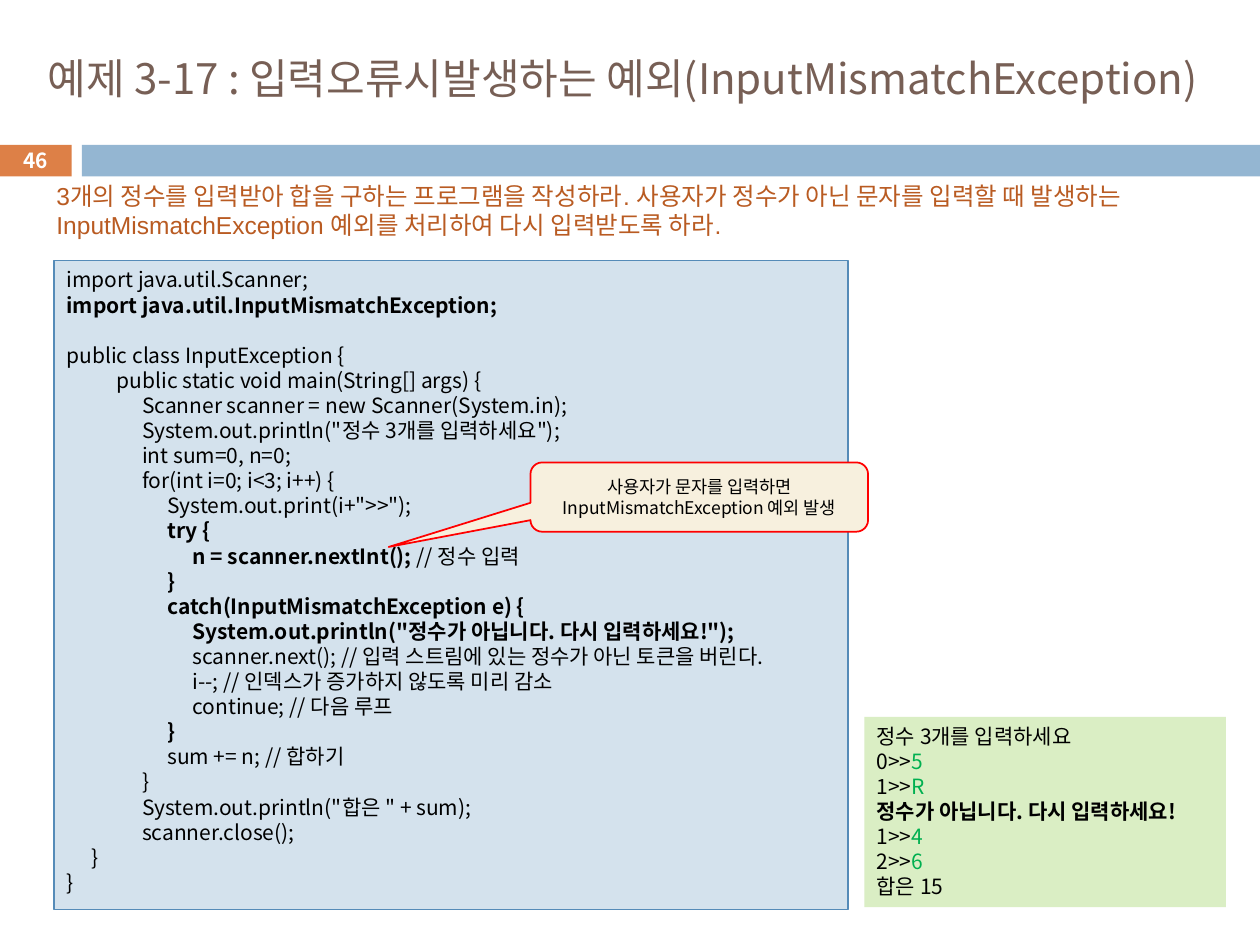
import pptx
import pptx.util
import pptx.dml.color
import pptx.enum.shapes
import pptx.enum.text
from lxml import etree

Pt, Inches = pptx.util.Pt, pptx.util.Inches
Kind = pptx.enum.shapes.MSO_SHAPE
Mid = pptx.enum.text.MSO_ANCHOR.MIDDLE
Top = pptx.enum.text.MSO_ANCHOR.TOP
Left = pptx.enum.text.PP_ALIGN.LEFT
Center = pptx.enum.text.PP_ALIGN.CENTER

# Content: a line is (tab depth, (text, style), ...); styles: "" plain, "b" bold, "g" typed input
title = [(0, ("예제 3-17 : 입력오류시발생하는 예외(InputMismatchException)", ""))]
task = [(0, ("3개의 정수를 입력받아 합을 구하는 프로그램을 작성하라. 사용자가 정수가 아닌 문자를 "
             "입력할 때 발생하는 InputMismatchException 예외를 처리하여 다시 입력받도록 하라.", ""))]
page = [(0, ("46", "b"))]
head = [
    (0, ("import java.util.Scanner;", "")),
    (0, ("import java.util.InputMismatchException;", "b")),
]
body = [
    (0, ("public class InputException {", "")),
    (2, ("public static void main(String[] args) {", "")),
    (3, ("Scanner scanner = new Scanner(System.in);", "")),
    (3, ('System.out.println("정수 3개를 입력하세요");', "")),
    (3, ("int sum=0, n=0;", "")),
    (3, ("for(int i=0; i<3; i++) {", "")),
    (4, ('System.out.print(i+">>");', "")),
    (4, ("try {", "b")),
    (5, ("n = scanner.nextInt(); ", "b"), ("// 정수 입력", "")),
    (4, ("}", "b")),
    (4, ("catch(InputMismatchException e) {", "b")),
    (5, ('System.out.println("정수가 아닙니다. 다시 입력하세요!");', "b")),
    (5, ("scanner.next(); // 입력 스트림에 있는 정수가 아닌 토큰을 버린다.", "")),
    (5, ("i--; // 인덱스가 증가하지 않도록 미리 감소", "")),
    (5, ("continue; // 다음 루프", "")),
    (4, ("}", "b")),
    (4, ("sum += n; // 합하기", "")),
    (3, ("}", "")),
    (3, ('System.out.println("합은 " + sum);', "")),
    (3, ("scanner.close();", "")),
    (1, ("}", "")),
    (0, ("}", "")),
]
result = [
    (0, ("정수 3개를 입력하세요", "")),
    (0, ("0>>", ""), ("5", "g")),
    (0, ("1>>", ""), ("R", "g")),
    (0, ("정수가 아닙니다. 다시 입력하세요!", "b")),
    (0, ("1>>", ""), ("4", "g")),
    (0, ("2>>", ""), ("6", "g")),
    (0, ("합은 15", "")),
]
note = [(0, ("사용자가 문자를 입력하면", "")),
        (0, ("InputMismatchException 예외 발생", ""))]

theme = {
    "korean": "Noto Sans CJK KR", "latin": "Arial",
    "title": ("775F55", 24), "task": ("B95B22", 14), "page": ("FFFFFF", 11.9),
    "code": ("000000", 12), "note": ("000000", 10), "typed": "00B050",
    "tag": "DD8047", "bar": "94B6D2", "panel": "D4E2ED", "edge": "558BB8",
    "out": "DAEEC4", "call": "F7F0DE", "alert": "FF0000",
    "pitch": 1.195, "tab": 0.2,
}

# Grid: 100 columns by 75 rows
wide, high = Inches(10), Inches(7.5)
deck = pptx.Presentation()
deck.slide_width, deck.slide_height = wide, high
slide = deck.slides.add_slide(deck.slide_layouts[6])


def cells(col, row, cols, rows):
    """Turn grid places into slide lengths."""
    return [int(wide * col / 100), int(high * row / 75),
            int(wide * cols / 100), int(high * rows / 75)]


def tint(text):
    return pptx.dml.color.RGBColor.from_string(text)


def block(place, fill, edge=None, line=0.75, kind=Kind.RECTANGLE):
    shape = slide.shapes.add_shape(kind, *cells(*place))
    shape.shadow.inherit = False
    shape.fill.solid()
    shape.fill.fore_color.rgb = tint(theme[fill])
    if edge:
        shape.line.color.rgb = tint(theme[edge])
        shape.line.width = Pt(line)
    else:
        shape.line.fill.background()
    return shape


def label(place):
    return slide.shapes.add_textbox(*cells(*place))


def stops(para, count):
    """Add evenly spaced tab stops."""
    tag = pptx.oxml.ns.qn
    tabs = etree.SubElement(para._p.get_or_add_pPr(), tag("a:tabLst"))
    for step in range(1, count + 1):
        etree.SubElement(tabs, tag("a:tab"),
                         pos=str(Inches(theme["tab"] * step)), algn="l")


def write(shape, lines, look, face="korean", align=Left, anchor=Top, gap=None, **frame):
    """Fill a shape with lines; gap is the line that gets one free line above it."""
    color, size = theme[look]
    text = shape.text_frame
    for name, value in {"word_wrap": True, "vertical_anchor": anchor, **frame}.items():
        setattr(text, name, value)
    pitch = Pt(round(size * theme["pitch"], 2))
    for index, (depth, *runs) in enumerate(lines):
        para = text.add_paragraph() if index else text.paragraphs[0]
        para.alignment = align
        para.line_spacing = pitch
        if index == gap:
            para.space_before = pitch
        if depth:
            stops(para, depth)
            runs = [("\t" * depth, "")] + runs
        for words, style in runs:
            run = para.add_run()
            run.text = words
            values = {"size": Pt(size), "bold": style == "b", "name": theme[face]}
            for name, value in values.items():
                setattr(run.font, name, value)
            run.font.color.rgb = tint(theme["typed"] if style == "g" else color)
            etree.SubElement(run._r.get_or_add_rPr(), pptx.oxml.ns.qn("a:ea"),
                             typeface=theme["korean"])


tag = block((0, 11.5, 5.7, 2.5), "tag")
block((6.5, 11.5, 93.5, 2.5), "bar")
write(label((2.8, 2.5, 96.9, 7.4)), title, "title", anchor=Mid, margin_right=0)
write(block((4.3, 20.7, 63, 51.5), "panel", "edge"), head + body, "code", gap=len(head))
write(label((3.5, 13.9, 91, 5.7)), task, "task", face="latin")
write(block((68.6, 56.9, 28.7, 15.1), "out"), result, "code")
write(tag, page, "page", align=Center, anchor=Mid, margin_top=0, margin_bottom=0)

call = block((42.1, 36.7, 26.8, 5.5), "call", "alert", 1, Kind.ROUNDED_RECTANGULAR_CALLOUT)
for index, value in enumerate((-0.92, 0.72, 0.17)):
    call.adjustments[index] = value
write(call, note, "note", align=Center, anchor=Mid)

deck.save("out.pptx")
